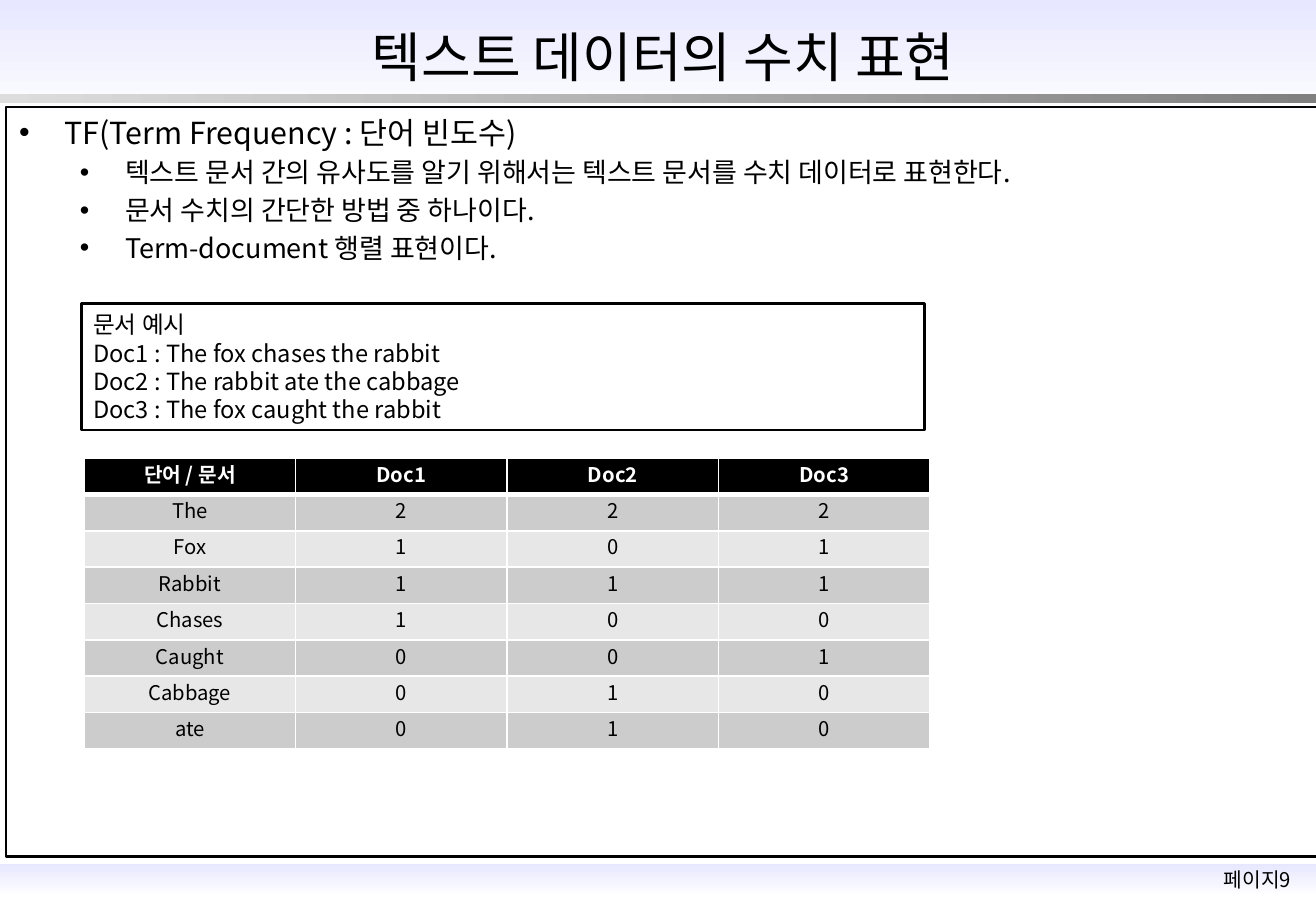
from pptx import Presentation, util as u
from pptx.dml import color
from pptx.enum import shapes, text
from pptx.oxml import ns
from lxml import etree

FONT = "Noto Sans CJK KR"
BLACK, WHITE, LILAC = "000000", "FFFFFF", "E7E7FF"
WIDE, HIGH = 27.51, 19.05
MID = text.PP_ALIGN.CENTER
RECT = shapes.MSO_SHAPE.RECTANGLE


def paint(fill, *tones, angle=0):
    """One tone gives a solid fill, two give a gradient."""
    if len(tones) == 1:
        fill.solid()
        fill.fore_color.rgb = color.RGBColor.from_string(tones[0])
        return
    fill.gradient()
    fill.gradient_angle = angle
    for stop, tone in zip(fill.gradient_stops, tones):
        stop.color.rgb = color.RGBColor.from_string(tone)


def write(frame, *lines, size=12, tone=BLACK, bold=False, align=text.PP_ALIGN.LEFT,
          anchor=text.MSO_ANCHOR.TOP, gap=0, indent=None):
    """Add lines to a frame; gap is a share of the size, indent (cm) adds bullets."""
    frame.word_wrap = True
    frame.vertical_anchor = anchor
    for line in lines:
        first = not frame.paragraphs[0].runs
        para = frame.paragraphs[0] if first else frame.add_paragraph()
        para.alignment = align
        para.line_spacing = u.Pt(size * 1.2)
        para.space_before = u.Pt(0 if first else size * gap)
        if indent is not None:
            props = para._p.get_or_add_pPr()
            props.set("marL", str(u.Cm(indent)))
            props.set("indent", str(-u.Cm(0.95)))
            etree.SubElement(props, ns.qn("a:buFont")).set("typeface", "Arial")
            etree.SubElement(props, ns.qn("a:buChar")).set("char", "•")
        run = para.add_run()
        run.text = line
        run.font.size, run.font.bold, run.font.name = u.Pt(size), bold, FONT
        paint(run.font.fill, tone)
        etree.SubElement(run._r.rPr, ns.qn("a:ea")).set("typeface", FONT)


deck = Presentation()
deck.slide_width, deck.slide_height = u.Cm(WIDE), u.Cm(HIGH)
slide = deck.slides.add_slide(deck.slide_layouts[6])
parts = slide.shapes

# Shaded bands: footer, header, rule under the header
for top, high, tones, angle in [
    (18.06, 0.69, (LILAC, WHITE), 270),
    (0, 2.54, (LILAC, WHITE), 270),
    (1.96, 0.2, ("DDDDDD", "808080"), 0),
]:
    band = parts.add_shape(RECT, 0, u.Cm(top), u.Cm(WIDE), u.Cm(high))
    band.shadow.inherit = False
    band.line.fill.background()
    paint(band.fill, *tones, angle=angle)

# Outlined boxes: page frame and sample documents
boxes = []
for area in [(0.13, 2.24, 27.41, 15.67), (1.7, 6.35, 17.63, 2.64)]:
    box = parts.add_shape(RECT, *map(u.Cm, area))
    box.shadow.inherit = False
    box.line.width = u.Pt(1.5)
    paint(box.line.fill, BLACK)
    boxes.append(box)
frame, sample = boxes
frame.fill.background()
paint(sample.fill, WHITE)
write(sample.text_frame, "문서 예시", "Doc1 : The fox chases the rabbit",
      "Doc2 : The rabbit ate the cabbage", "Doc3 : The fox caught the rabbit",
      size=14, anchor=text.MSO_ANCHOR.MIDDLE)

# Title, bullets and page number
title, body, page = [
    parts.add_textbox(*map(u.Cm, area)).text_frame
    for area in [(1.02, 0.43, 25.7, 1.47), (0.15, 2.26, 26.8, 3.48),
                 (24.94, 18.01, 2.69, 0.76)]
]
write(title, "텍스트 데이터의 수치 표현", size=32, align=MID,
      anchor=text.MSO_ANCHOR.MIDDLE)
write(body, "TF(Term Frequency : 단어 빈도수)", size=18, gap=0.2, indent=0.95)
write(body, "텍스트 문서 간의 유사도를 알기 위해서는 텍스트 문서를 수치 데이터로 표현한다.",
      "문서 수치의 간단한 방법 중 하나이다.", "Term-document 행렬 표현이다.",
      size=16, gap=0.2, indent=2.22)
write(page, "페이지9", align=MID)

# Term-document table
rows = [
    ("단어 / 문서", "Doc1", "Doc2", "Doc3"),
    ("The", 2, 2, 2),
    ("Fox", 1, 0, 1),
    ("Rabbit", 1, 1, 1),
    ("Chases", 1, 0, 0),
    ("Caught", 0, 0, 1),
    ("Cabbage", 0, 1, 0),
    ("ate", 0, 1, 0),
]
grid = parts.add_table(len(rows), 4, u.Cm(1.76), u.Cm(9.58),
                       u.Cm(17.68), u.Cm(0.76 * len(rows))).table
for r, row in enumerate(rows):
    grid.rows[r].height = u.Cm(0.76)
    head = r == 0
    shade = BLACK if head else ("E7E7E7", "CCCCCC")[r % 2]
    for c, value in enumerate(row):
        cell = grid.cell(r, c)
        cell.margin_top = cell.margin_bottom = u.Cm(0.12)
        write(cell.text_frame, str(value), tone=WHITE if head else BLACK,
              bold=head, align=MID)
        props = cell._tc.get_or_add_tcPr()
        for side in "LRTB":
            thick = (r, side) in [(0, "B"), (1, "T")]
            edge = etree.SubElement(props, ns.qn("a:ln" + side))
            edge.set("w", str(u.Pt(3 if thick else 1)))
            ink = etree.SubElement(edge, ns.qn("a:solidFill"))
            etree.SubElement(ink, ns.qn("a:srgbClr")).set("val", WHITE)
        paint(cell.fill, shade)

deck.save("out.pptx")
